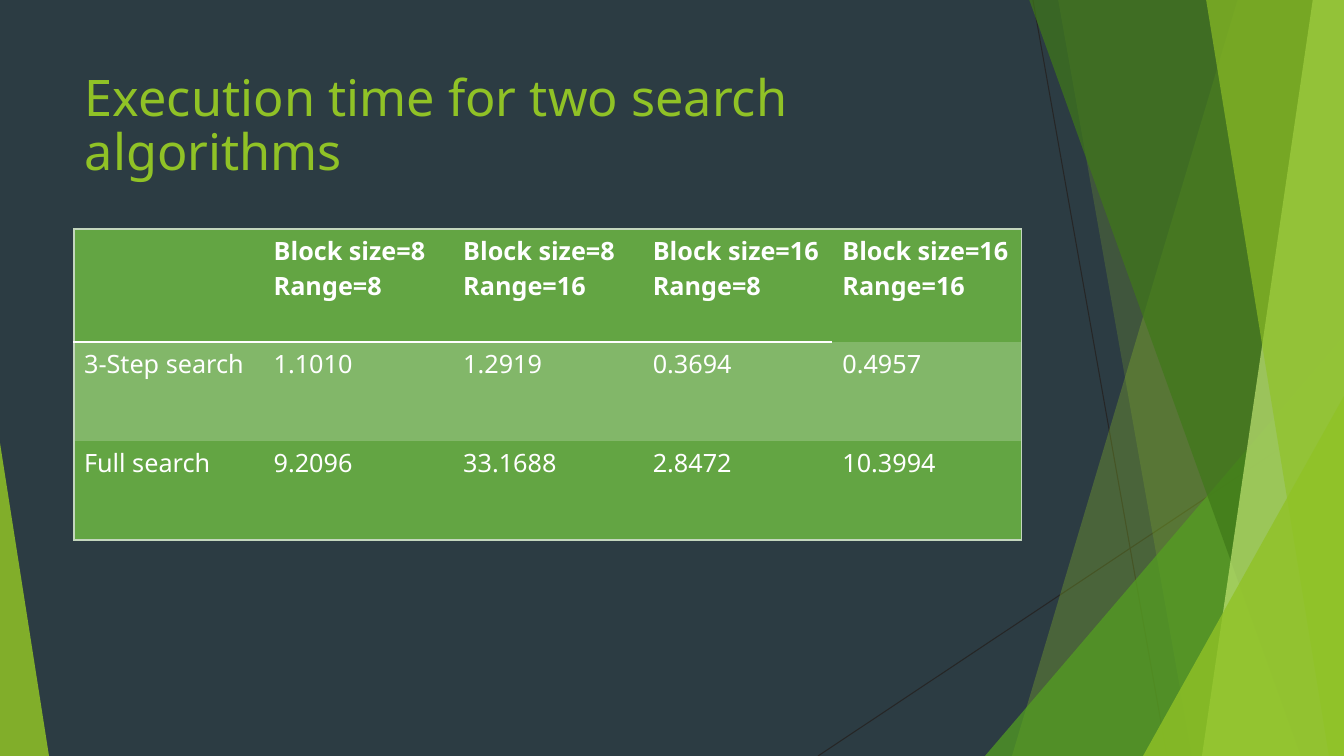
from dataclasses import dataclass

from lxml import etree
from pptx import Presentation
from pptx.dml.color import RGBColor
from pptx.enum.shapes import MSO_CONNECTOR, MSO_SHAPE
from pptx.enum.text import MSO_ANCHOR, PP_ALIGN
from pptx.oxml.ns import qn
from pptx.util import Pt

EMU_PER_PIXEL = 914400 / 100.8
WIDTH, HEIGHT = 1344, 756
STRAIGHT = MSO_CONNECTOR.STRAIGHT
TRIANGLE = MSO_SHAPE.ISOSCELES_TRIANGLE
TOP, LEFT = MSO_ANCHOR.TOP, PP_ALIGN.LEFT


@dataclass(frozen=True)
class Theme:
    font: str = "Noto Sans"
    background: str = "2C3C43"
    ray: str = "262626"
    lime: str = "90C226"
    green: str = "54A021"
    forest: str = "3F7819"
    pale: str = "C0E474"
    white: str = "FFFFFF"
    table_green: str = "63A543"
    table_band: str = "82B769"
    table_edge: str = "C3D6BD"
    title_size: int = 36
    table_size: int = 18


def px(length):
    return round(length * EMU_PER_PIXEL)


def rgb(color):
    return RGBColor.from_string(color)


class SlideBuilder:
    def __init__(self, slide, theme):
        self.slide, self.theme = slide, theme
        self.shapes = slide.shapes
        slide.background.fill.solid()
        slide.background.fill.fore_color.rgb = rgb(theme.background)

    def line(self, start, end, color, points):
        connector = self.shapes.add_connector(STRAIGHT, *map(px, start + end))
        connector.line.color.rgb = rgb(color)
        connector.line.width = Pt(points)
        etree.SubElement(connector._element.spPr, qn("a:effectLst"))

    def paint(self, shape, color, opacity):
        shape.shadow.inherit = False
        shape.line.fill.background()
        shape.fill.solid()
        shape.fill.fore_color.rgb = rgb(color)
        fill_color = shape._element.spPr.find(qn("a:solidFill"))[0]
        etree.SubElement(fill_color, qn("a:alpha"), val=str(opacity * 1000))

    def polygon(self, points, color, opacity):
        outline = self.shapes.build_freeform(*points[0], scale=EMU_PER_PIXEL)
        outline.add_line_segments(points[1:], close=True)
        self.paint(outline.convert_to_shape(), color, opacity)

    def triangle(self, box, tip, color, opacity):
        shape = self.shapes.add_shape(TRIANGLE, *map(px, box))
        shape.adjustments[0] = tip
        self.paint(shape, color, opacity)

    def fill_text(self, frame, lines, size, color, bold=False, spacing=None):
        frame.word_wrap = True
        for index, line in enumerate(lines):
            paragraph = frame.add_paragraph() if index else frame.paragraphs[0]
            paragraph.alignment = LEFT
            if spacing:
                paragraph.line_spacing = spacing
            run = paragraph.add_run()
            run.text = line
            run.font.name, run.font.size, run.font.bold = self.theme.font, Pt(size), bold
            run.font.color.rgb = rgb(color)

    def text(self, box, lines, size, color, spacing):
        frame = self.shapes.add_textbox(*map(px, box)).text_frame
        frame.vertical_anchor = TOP
        self.fill_text(frame, lines, size, color, spacing=spacing)

    def borders(self, cell, sides):
        properties = cell._tc.get_or_add_tcPr()
        for side in "LRTB":
            color, points = sides.get(side) or (None, 0)
            edge = etree.SubElement(properties, qn(f"a:ln{side}"), w=str(int(Pt(points))))
            if color:
                fill = etree.SubElement(edge, qn("a:solidFill"))
                etree.SubElement(fill, qn("a:srgbClr"), val=color)
            else:
                etree.SubElement(edge, qn("a:noFill"))

    def table(self, box, rows, row_heights, row_fills):
        last_row, last_column = len(rows) - 1, len(rows[0]) - 1
        table = self.shapes.add_table(len(rows), len(rows[0]), *map(px, box)).table
        table.first_row = table.horz_banding = False
        for column in table.columns:
            column.width = px(box[2] / len(rows[0]))
        thin, heavy = (self.theme.table_edge, 1), (self.theme.white, 2)
        for r, row in enumerate(rows):
            table.rows[r].height = px(row_heights[r])
            for c, lines in enumerate(row):
                cell = table.cell(r, c)
                # The header rule stops before the last column
                rule = heavy if c < last_column else None
                self.borders(cell, {
                    "L": thin if c == 0 else None,
                    "R": thin if c == last_column else None,
                    "T": {0: thin, 1: rule}.get(r),
                    "B": {0: rule, last_row: thin}.get(r),
                })
                cell.fill.solid()
                cell.fill.fore_color.rgb = rgb(row_fills[r])
                self.fill_text(cell.text_frame, lines, self.theme.table_size,
                               self.theme.white, bold=r == 0)
                cell.vertical_anchor = TOP


theme = Theme()
deck = Presentation()
deck.slide_width, deck.slide_height = px(WIDTH), px(HEIGHT)
builder = SlideBuilder(deck.slides.add_slide(deck.slide_layouts[6]), theme)

# Thin rays behind the facets
for start, end in [((1033, 0), (1167, HEIGHT)), ((WIDTH, 406), (818, HEIGHT))]:
    builder.line(start, end, theme.ray, 0.75)


# Facets: each runs from a slanted left side to the right slide edge
def facet(top_x, bottom_x, color, opacity):
    corners = [(top_x, -1), (WIDTH, -1), (WIDTH, HEIGHT), (bottom_x, HEIGHT)]
    builder.polygon(corners, color, opacity)


facet(1238, 1012, theme.lime, 30)
facet(1058, 1192, theme.lime, 20)
builder.triangle((985, 336, 359, 420), 1, theme.green, 72)
facet(1029, 1301, theme.forest, 70)
facet(1313, 1202, theme.pale, 70)
facet(1206, 1329, theme.lime, 65)
builder.triangle((1143, 396, 201, 360), 1, theme.lime, 80)
builder.triangle((0, 443, 49, 313), 0, theme.lime, 85)

# Title
builder.text((75, 68, 981, 145), ["Execution time for two search algorithms"],
             theme.title_size, theme.lime, spacing=0.9)

# Execution times
execution_times = [
    [[], ["Block size=8 Range=8"], ["Block size=8", "Range=16"],
     ["Block size=16", "Range=8"], ["Block size=16 Range=16"]],
    [["3-Step search"], ["1.1010"], ["1.2919"], ["0.3694"], ["0.4957"]],
    [["Full search"], ["9.2096"], ["33.1688"], ["2.8472"], ["10.3994"]],
]
builder.table((74, 229, 948, 311), execution_times, (113, 99, 99),
              (theme.table_green, theme.table_band, theme.table_green))

deck.save("out.pptx")
